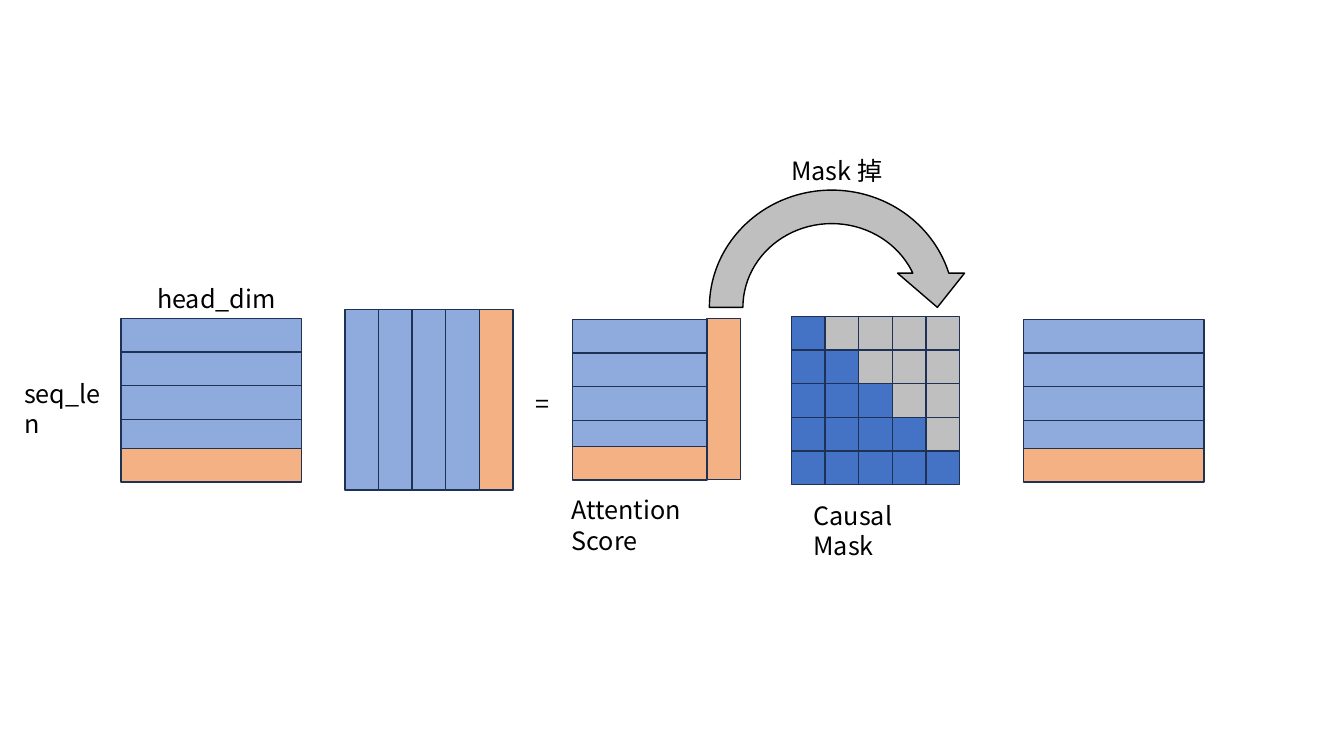
from pptx import Presentation
from pptx.dml.color import RGBColor
from pptx.enum.shapes import MSO_SHAPE
from pptx.enum.text import MSO_AUTO_SIZE
from pptx.oxml.ns import qn
from pptx.util import Inches, Pt
from lxml.etree import SubElement

FONT = "Noto Sans CJK SC"
CELL = 1 / 3  # grid unit in inches
COUNT = 5  # tokens in the sequence
HEAD_DIM = 1.79
BLUE, ORANGE, GREY = "8FAADC", "F4B183", "BFBFBF"
MASK_BLUE, NAVY, BLACK = "4472C4", "1E3256", "000000"


def rgb(color):
    return RGBColor.from_string(color)


def add_block(s, left, top, width, height, fill, line=NAVY, kind=MSO_SHAPE.RECTANGLE):
    sp = s.shapes.add_shape(kind, Inches(left), Inches(top), Inches(width), Inches(height))
    sp.shadow.inherit = False
    sp.fill.solid()
    sp.fill.fore_color.rgb = rgb(fill)
    sp.line.color.rgb = rgb(line)
    sp.line.width = Pt(1)


def add_label(s, text, left, top, width):
    tf = s.shapes.add_textbox(Inches(left), Inches(top), Inches(width), Inches(0.4)).text_frame
    tf.word_wrap = True
    tf.auto_size = MSO_AUTO_SIZE.SHAPE_TO_FIT_TEXT
    tf.text = text
    r = tf.paragraphs[0].runs[0]
    r.font.size = Pt(18)
    r.font.name = FONT
    r.font.color.rgb = rgb(BLACK)
    SubElement(r.font._element, qn("a:ea"), typeface=FONT)


def add_row_matrix(s, left, top, width, fourth, last):
    """Stack rows; fourth and last are row offsets in cells, the fourth lying under the third."""
    for row, fill in ((fourth, BLUE), (last, ORANGE), (0, BLUE), (1, BLUE), (2, BLUE)):
        add_block(s, left, top + row * CELL, width, CELL, fill)


def add_key_matrix(s, left, top):
    for col in reversed(range(COUNT)):
        fill = ORANGE if col == COUNT - 1 else BLUE
        add_block(s, left + col * CELL, top, CELL, HEAD_DIM, fill)


def add_score_matrix(s, left, top):
    add_row_matrix(s, left, top, 4 * CELL, 2.98, 3.78)
    add_block(s, left + 4 * CELL, top - 0.01, CELL, 1.6, ORANGE)
    add_label(s, "Attention Score", left - 0.11, top + 1.69, 1.91)


def add_causal_mask(s, left, top):
    for row in range(COUNT):
        for col in range(COUNT):
            fill = MASK_BLUE if col <= row else GREY
            add_block(s, left + col * CELL, top + row * CELL, CELL, CELL, fill)
    add_label(s, "Causal Mask", left + 0.12, top + 1.77, 1.55)


def add_mask_arrow(s, left, top):
    add_block(s, left, top, 2.76, 2.66, GREY, BLACK, MSO_SHAPE.CIRCULAR_ARROW)
    add_label(s, "Mask 掉", left + 0.88, top - 0.23, 1.22)


def add_query_matrix(s, left, top):
    add_row_matrix(s, left, top, HEAD_DIM, 2.86, 3.87)
    add_label(s, "head_dim", left + 0.26, top - 0.4, 1.48)
    add_label(s, "seq_len", left - 1.06, top + 0.54, 1.03)


def main():
    prs = Presentation()
    prs.slide_width, prs.slide_height = Inches(13.33), Inches(7.5)
    s = prs.slides.add_slide(prs.slide_layouts[6])
    add_query_matrix(s, 1.2, 3.16)
    add_key_matrix(s, 3.42, 3.07)
    add_row_matrix(s, 10.15, 3.17, HEAD_DIM, 2.85, 3.84)
    add_label(s, "=", 5.21, 3.8, 0.46)
    add_score_matrix(s, 5.68, 3.17)
    add_causal_mask(s, 7.85, 3.14)
    add_mask_arrow(s, 6.87, 1.72)
    prs.save("out.pptx")


if __name__ == "__main__":
    main()
